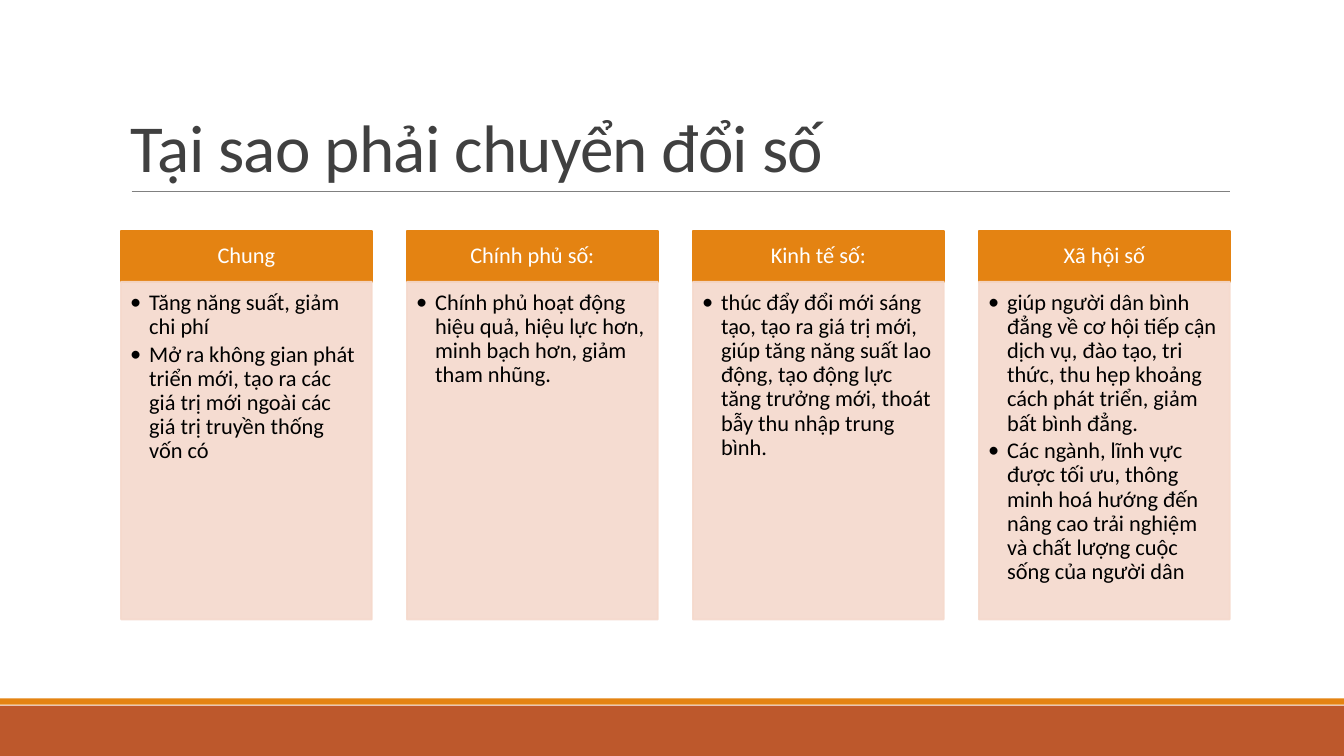
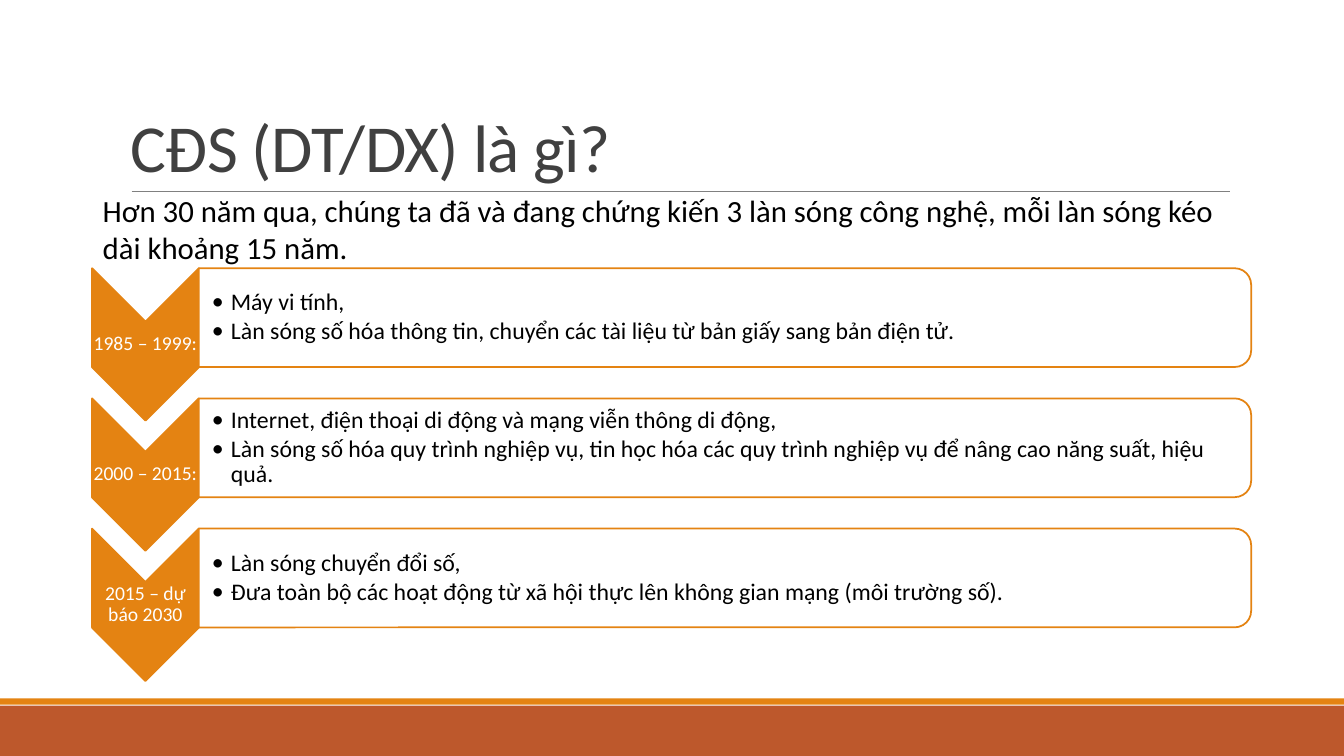
from dataclasses import dataclass

from lxml import etree
from pptx import Presentation
from pptx import util as u
from pptx.dml.color import RGBColor
from pptx.enum import shapes, text
from pptx.oxml.ns import qn

Cm, Pt = u.Cm, u.Pt
SHAPE, ALIGN, ANCHOR = shapes.MSO_SHAPE, text.PP_ALIGN, text.MSO_ANCHOR

# Content
REASONS_TITLE = "Tại sao phải chuyển đổi số"
REASONS = [
    ("Chung", [
        "Tăng năng suất, giảm chi phí",
        "Mở ra không gian phát triển mới, tạo ra các giá trị mới ngoài các "
        "giá trị truyền thống vốn có"]),
    ("Chính phủ số:", [
        "Chính phủ hoạt động hiệu quả, hiệu lực hơn, minh bạch hơn, giảm tham nhũng."]),
    ("Kinh tế số:", [
        "thúc đẩy đổi mới sáng tạo, tạo ra giá trị mới, giúp tăng năng suất lao động, "
        "tạo động lực tăng trưởng mới, thoát bẫy thu nhập trung bình."]),
    ("Xã hội số", [
        "giúp người dân bình đẳng về cơ hội tiếp cận dịch vụ, đào tạo, tri thức, "
        "thu hẹp khoảng cách phát triển, giảm bất bình đẳng.",
        "Các ngành, lĩnh vực được tối ưu, thông minh hoá hướng đến nâng cao trải nghiệm "
        "và chất lượng cuộc sống của người dân"]),
]
WAVES_TITLE = "CĐS (DT/DX) là gì?"
WAVES_INTRO = ("Hơn 30 năm qua, chúng ta đã và đang chứng kiến 3 làn sóng công nghệ, "
               "mỗi làn sóng kéo dài khoảng 15 năm.")
WAVES = [
    ("1985 – 1999:", [
        "Máy vi tính,",
        "Làn sóng số hóa thông tin, chuyển các tài liệu từ bản giấy sang bản điện tử."]),
    ("2000 – 2015:", [
        "Internet, điện thoại di động và mạng viễn thông di động,",
        "Làn sóng số hóa quy trình nghiệp vụ, tin học hóa các quy trình nghiệp vụ "
        "để nâng cao năng suất, hiệu quả."]),
    ("2015 – dự báo 2030", [
        "Làn sóng chuyển đổi số,",
        "Đưa toàn bộ các hoạt động từ xã hội thực lên không gian mạng (môi trường số)."]),
]


@dataclass(frozen=True)
class Theme:
    font: str = "Calibri"
    orange: str = "E48312"
    rust: str = "BD582C"
    peach: str = "F5D9CC"
    grey: str = "808080"
    heading: str = "404040"
    black: str = "000000"
    white: str = "FFFFFF"
    title: int = 48
    intro: int = 22
    wave: int = 17
    column: int = 16
    label: int = 14


T = Theme()
SLIDE_W, SLIDE_H = 33.87, 19.05
LABEL_INSETS = (0.03,) * 4


# Drawing helpers: boxes are (left, top, width, height) in centimetres
def add_shape(slide, kind, box, fill, line=None, alpha=None, rotation=0):
    s = slide.shapes.add_shape(kind, *map(Cm, box))
    s.shadow.inherit = False
    s.rotation = rotation
    s.fill.solid()
    s.fill.fore_color.rgb = RGBColor.from_string(fill)
    if line:
        s.line.color.rgb = RGBColor.from_string(line)
        s.line.width = Pt(1.25)
    else:
        s.line.fill.background()
    if alpha:
        for color in s._element.spPr.iter(qn("a:srgbClr")):
            etree.SubElement(color, qn("a:alpha"), val=str(alpha * 1000))
    return s


def add_turned(slide, kind, box, **style):
    """Quarter-turned shape that covers the given box once turned."""
    left, top, w, h = box
    turned = (left + (w - h) / 2, top + (h - w) / 2, h, w)
    return add_shape(slide, kind, turned, rotation=90, **style)


def add_text(slide, box, lines, size, color, **style):
    s = slide.shapes.add_textbox(*map(Cm, box))
    set_text(s, lines, size, color, **style)
    return s


def set_text(s, lines, size, color, align=ALIGN.LEFT, anchor=ANCHOR.TOP,
             insets=(0.25, 0.13, 0.25, 0.13), spacing=0.9, after=0, bullets=False):
    tf = s.text_frame
    tf.text = "\n".join(lines)
    tf.word_wrap = True
    tf.vertical_anchor = anchor
    tf.margin_left, tf.margin_top, tf.margin_right, tf.margin_bottom = map(Cm, insets)
    for p in tf.paragraphs:
        p.alignment, p.line_spacing, p.space_after = align, spacing, Pt(after)
        if bullets:
            add_bullet(p)
        for r in p.runs:
            r.font.name, r.font.size = T.font, Pt(size)
            r.font.color.rgb = RGBColor.from_string(color)


def add_bullet(p):
    pPr = p._p.get_or_add_pPr()
    pPr.set("marL", str(Cm(0.48)))
    pPr.set("indent", str(-Cm(0.48)))
    etree.SubElement(pPr, qn("a:buFont"), typeface=T.font)
    etree.SubElement(pPr, qn("a:buChar"), char="•")


# Shared frame: bands, rule and title
def add_slide(prs, title):
    slide = prs.slides.add_slide(prs.slide_layouts[6])
    add_shape(slide, SHAPE.RECTANGLE, (0, 17.78, SLIDE_W, 1.27), T.rust)
    add_shape(slide, SHAPE.RECTANGLE, (0, 17.6, SLIDE_W, 0.16), T.orange)
    rule = slide.shapes.add_connector(
        shapes.MSO_CONNECTOR.STRAIGHT, Cm(3.32), Cm(4.83), Cm(31), Cm(4.83))
    rule.line.color.rgb = RGBColor.from_string(T.grey)
    rule.line.width = Pt(0.5)
    etree.SubElement(rule._element.spPr, qn("a:effectLst"))
    s = add_text(slide, (3.05, 0.79, 27.94, 4.04), [title], T.title, T.heading,
                 anchor=ANCHOR.BOTTOM, spacing=0.85)
    s.text_frame.paragraphs[0].runs[0].font._element.set("spc", "-50")
    return slide


# Four columns, with gaps of 14 % of a column
def build_reasons(prs):
    slide = add_slide(prs, REASONS_TITLE)
    left, total, top, head_h, body_h = 3.05, 27.94, 5.82, 1.28, 8.51
    n = len(REASONS)
    w = total / (n + 0.14 * (n - 1))
    for i, (head, points) in enumerate(REASONS):
        x = left + i * w * 1.14
        s = add_shape(slide, SHAPE.RECTANGLE, (x, top, w, head_h), T.orange, T.orange)
        set_text(s, [head], T.column, T.white, align=ALIGN.CENTER,
                 anchor=ANCHOR.MIDDLE, insets=(0.3, 0.18, 0.3, 0.18))
        s = add_shape(slide, SHAPE.RECTANGLE, (x, top + head_h, w, body_h),
                      T.peach, T.peach, alpha=90)
        set_text(s, points, T.column, T.black, insets=(0.23, 0.23, 0.3, 0.36),
                 after=2.5, bullets=True)


# Three rows: a downward chevron and a panel
def build_waves(prs):
    slide = add_slide(prs, WAVES_TITLE)
    left, top, pitch = 2.32, 6.76, 3.28
    chevron_w, chevron_h, panel_w, panel_h = 2.69, 3.84, 26.52, 2.49
    for i, (period, points) in enumerate(WAVES):
        y = top + i * pitch
        add_turned(slide, SHAPE.CHEVRON, (left, y, chevron_w, chevron_h),
                   fill=T.orange, line=T.orange)
        add_text(slide, (left, y + chevron_w / 2, chevron_w, chevron_h - chevron_w),
                 [period], T.label, T.white, align=ALIGN.CENTER,
                 anchor=ANCHOR.MIDDLE, insets=LABEL_INSETS)
        panel = (left + chevron_w, y, panel_w, panel_h)
        s = add_turned(slide, SHAPE.ROUND_2_SAME_RECTANGLE, panel,
                       fill=T.white, line=T.orange)
        add_text(slide, panel, points, T.wave, T.black, anchor=ANCHOR.MIDDLE,
                 insets=(0.33, 0.03, 0.15, 0.03), after=2.5, bullets=True)
    add_text(slide, (2.34, 4.7, 29.21, 2.13), [WAVES_INTRO], T.intro, T.black, spacing=1)


def main():
    prs = Presentation()
    prs.slide_width, prs.slide_height = Cm(SLIDE_W), Cm(SLIDE_H)
    build_reasons(prs)
    build_waves(prs)
    prs.save("out.pptx")


if __name__ == "__main__":
    main()
